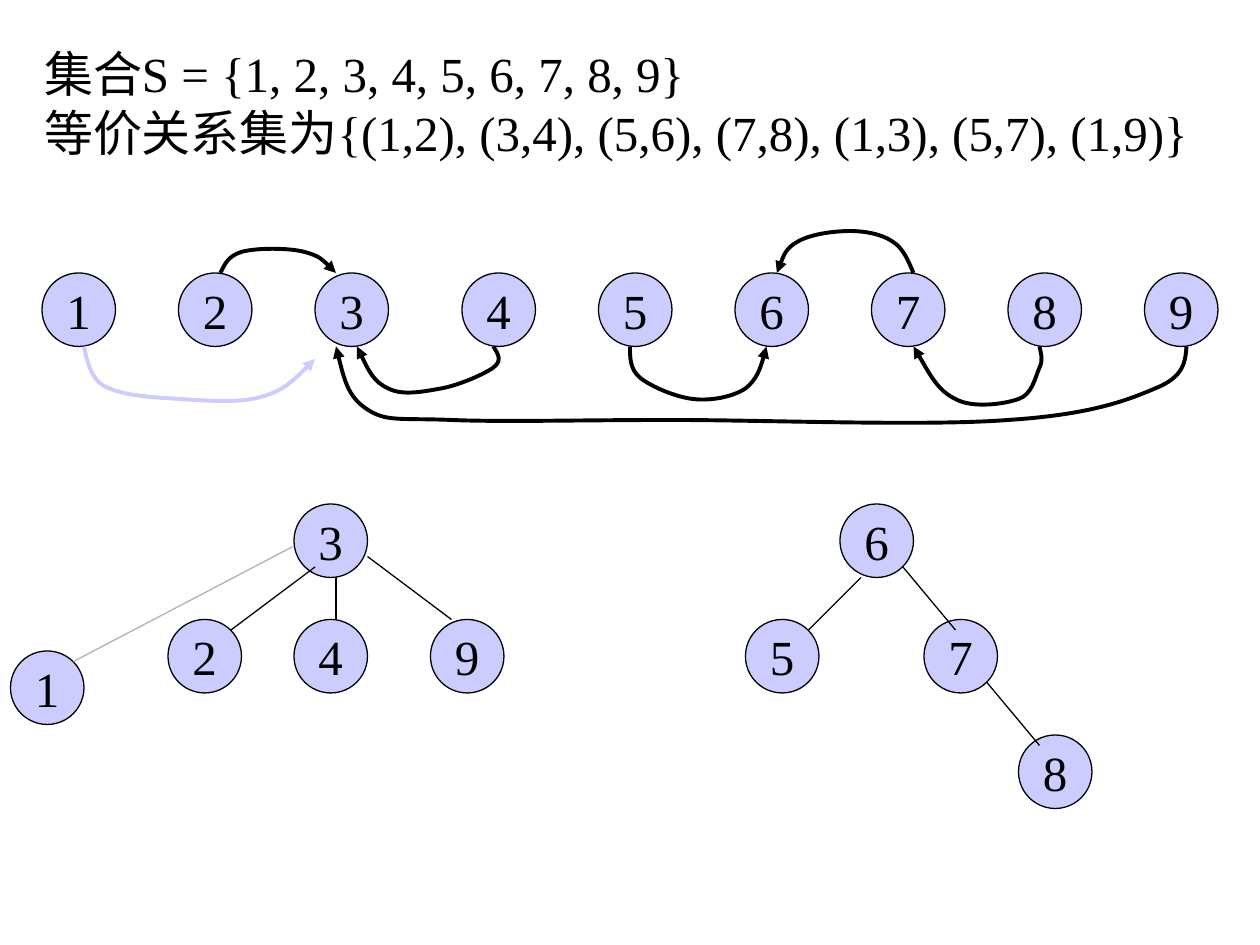
from dataclasses import dataclass

from lxml.etree import SubElement
from pptx import Presentation
from pptx.dml.color import RGBColor
from pptx.enum.shapes import MSO_CONNECTOR, MSO_SHAPE
from pptx.enum.text import MSO_ANCHOR, MSO_AUTO_SIZE, PP_ALIGN
from pptx.oxml.ns import qn
from pptx.util import Cm, Pt


@dataclass(frozen=True)
class Theme:
    font: str = "Times New Roman"
    size: int = 28
    ink: str = "000000"
    node: str = "CCCCFF"
    faded: str = "B2B2B2"
    thin: float = 0.75
    thick: float = 2.25


GRID = 2.54 / 12
NODE_SIZE = 7
ROW_TOP = 26


def grid(n):
    return Cm(n * GRID)


class Board:
    def __init__(self, s, theme):
        self.s = s
        self.theme = theme

    def format_text(self, tf, align):
        for p in tf.paragraphs:
            p.alignment = align
            for r in p.runs:
                r.font.name = self.theme.font
                r.font.size = Pt(self.theme.size)
                r.font.color.rgb = RGBColor.from_string(self.theme.ink)

    def format_line(self, line, color, width):
        line.color.rgb = RGBColor.from_string(color)
        line.width = Pt(width)

    def text(self, left, top, width, height, text):
        tf = self.s.shapes.add_textbox(Cm(left), Cm(top), Cm(width), Cm(height)).text_frame
        tf.word_wrap = True
        tf.auto_size = MSO_AUTO_SIZE.SHAPE_TO_FIT_TEXT
        tf.text = text
        self.format_text(tf, PP_ALIGN.LEFT)

    def node(self, label, left, top):
        size = grid(NODE_SIZE)
        sp = self.s.shapes.add_shape(MSO_SHAPE.OVAL, grid(left), grid(top), size, size)
        sp.shadow.inherit = False
        sp.fill.solid()
        sp.fill.fore_color.rgb = RGBColor.from_string(self.theme.node)
        self.format_line(sp.line, self.theme.ink, self.theme.thin)
        tf = sp.text_frame
        tf.word_wrap = False
        tf.vertical_anchor = MSO_ANCHOR.MIDDLE
        tf.text = str(label)
        self.format_text(tf, PP_ALIGN.CENTER)

    def edge(self, x1, y1, x2, y2, color):
        sp = self.s.shapes.add_connector(
            MSO_CONNECTOR.STRAIGHT, grid(x1), grid(y1), grid(x2), grid(y2))
        self.format_line(sp.line, color, self.theme.thin)
        SubElement(sp.element.spPr, qn("a:effectLst"))

    def curved_arrow(self, points, color):
        start, *rest = [(grid(x), grid(y)) for x, y in points]
        builder = self.s.shapes.build_freeform(*start)
        builder.add_line_segments(rest, close=False)
        sp = builder.convert_to_shape()
        sp.shadow.inherit = False
        sp.fill.background()
        self.format_line(sp.line, color, self.theme.thick)
        SubElement(sp.element.spPr.find(qn("a:ln")), qn("a:tailEnd"), type="triangle")
        outline = next(sp.element.iter(qn("a:path")))
        segments = outline.findall(qn("a:lnTo"))
        for i in range(0, len(segments), 3):
            curve = SubElement(outline, qn("a:cubicBezTo"))
            for segment in segments[i:i + 3]:
                curve.append(segment[0])
                outline.remove(segment)


ARROWS = [
    [(8, 33), (8.3, 34.4), (8.6, 35.9), (9.8, 36.7), (11, 37.4), (12.8, 37.7), (15.4, 37.9),
     (17.8, 38), (22.1, 38.5), (24.5, 37.9), (27, 37.3), (28.4, 35.8), (30, 34.2)],
    [(47, 33), (47.4, 33.7), (47.9, 34.3), (47, 35), (46.2, 35.6), (43.7, 36.7), (42, 37),
     (40.3, 37.3), (38.3, 37.7), (37, 37), (35.6, 36.4), (34.8, 34.7), (34, 33)],
    [(60, 33), (60, 34.1), (60, 35.2), (61, 36), (62, 36.8), (64.3, 37.8), (66, 38),
     (67.7, 38.2), (69.8, 37.8), (71, 37), (72.1, 36.1), (72.6, 34.6), (73, 33)],
    [(99, 33), (99.1, 33.6), (99.4, 34.2), (99, 35), (98.6, 35.9), (98.3, 37.6), (97, 38),
     (95.6, 38.5), (92.6, 38.9), (91, 38), (89.3, 37.2), (88.2, 35), (87, 33)],
    [(21, 26), (21.4, 25.2), (21.7, 24.4), (23, 24), (24.4, 23.6), (27.5, 23.6), (29, 24),
     (30.5, 24.4), (31.2, 25.2), (32, 26)],
    [(87, 26), (86.5, 24.8), (86, 23.6), (85, 23), (84, 22.3), (82.4, 22), (81, 22),
     (79.4, 22), (77.2, 22.3), (76, 23), (74.9, 23.6), (74.4, 24.8), (74, 26)],
    [(113, 33), (112.9, 34.4), (112.8, 35.9), (110, 37), (107.2, 38.2), (103.7, 39.5), (96, 40),
     (88.3, 40.6), (72.8, 40), (64, 40), (55.2, 40), (47.9, 40.2), (43, 40),
     (38.2, 39.8), (36.8, 40.2), (35, 39), (33.1, 37.8), (32.6, 35.4), (32, 33)],
]

TREES = [
    ([(3, 28, 48), (4, 28, 59), (2, 16, 59), (1, 1, 62), (9, 41, 59)],
     [(30, 54, 22, 60), (32, 55, 32, 59), (35, 53, 43, 59)],
     [(28, 52, 7, 63)]),
    ([(6, 80, 48), (5, 71, 59), (7, 88, 59), (8, 97, 70)],
     [(82, 55, 77, 60), (86, 54, 91, 60), (94, 65, 99, 71)],
     []),
]


def main():
    prs = Presentation()
    prs.slide_width, prs.slide_height = Cm(25.4), Cm(19.05)
    theme = Theme()
    board = Board(prs.slides.add_slide(prs.slide_layouts[6]), theme)

    board.text(0.64, 0.76, 24.13, 2.64,
               "集合S = {1, 2, 3, 4, 5, 6, 7, 8, 9}\n"
               "等价关系集为{(1,2), (3,4), (5,6), (7,8), (1,3), (5,7), (1,9)}")

    for i in range(9):
        board.node(i + 1, 4 + 13 * i + (i > 2), ROW_TOP)

    for i, points in enumerate(ARROWS):
        board.curved_arrow(points, theme.ink if i else theme.node)

    for nodes, edges, faded_edges in TREES:
        for node in nodes:
            board.node(*node)
        for edge in edges:
            board.edge(*edge, theme.ink)
        for edge in faded_edges:
            board.edge(*edge, theme.faded)

    prs.save("out.pptx")


if __name__ == "__main__":
    main()
